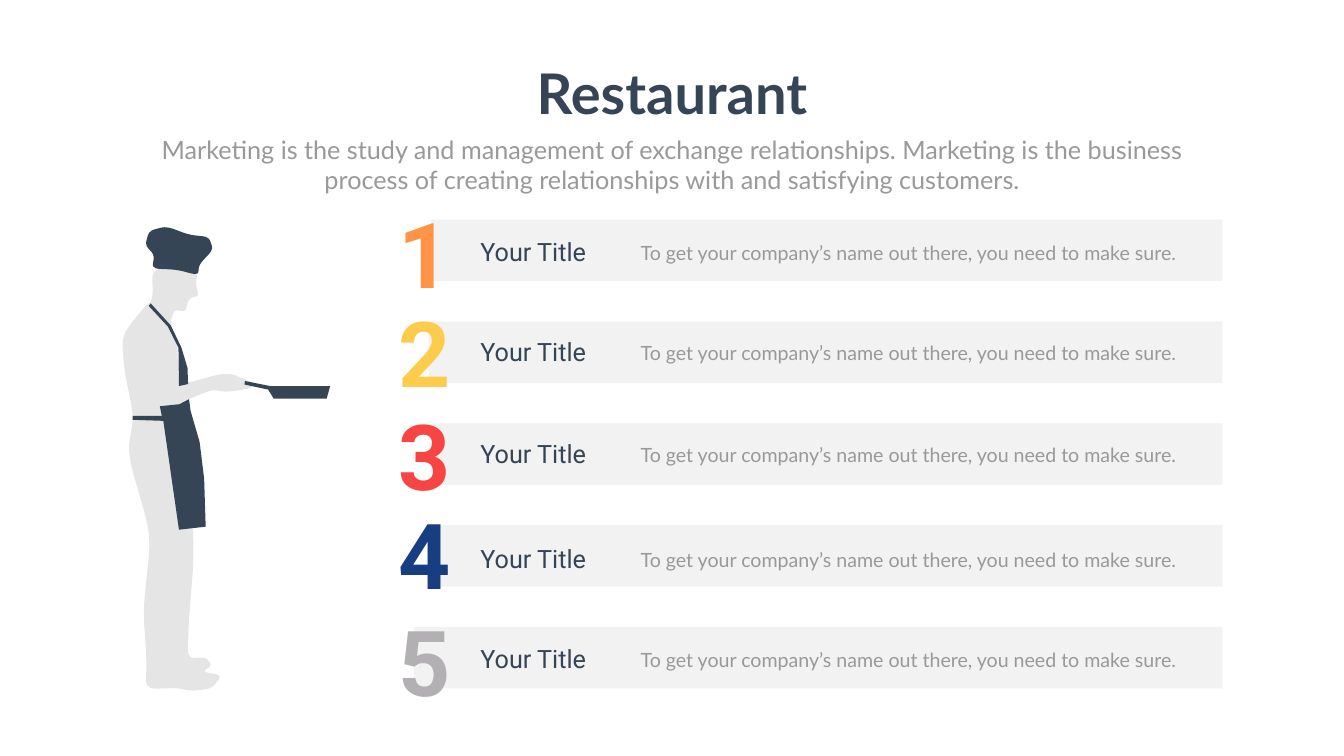
from lxml.etree import SubElement
from pptx import Presentation
from pptx.dml.color import RGBColor
from pptx.enum.shapes import MSO_SHAPE
from pptx.enum.text import MSO_ANCHOR, MSO_AUTO_SIZE, PP_ALIGN
from pptx.oxml.ns import qn
from pptx.util import Inches, Pt

THEME = {
    "navy": "364556", "text": "999999", "shade": "808080",
    "lato": "Lato", "roboto": "Roboto",
    "title": 80, "subtitle": 36, "digit": 130, "label": 36, "detail": 28,
}
BODY_ALPHA, BAR_ALPHA = 20, 10
BAR_TOP, BAR_PITCH, BAR_HEIGHT, BAR_RIGHT = 4.36, 2.02, 1.22, 24.25

TITLE = "Restaurant"
SUBTITLE = ("Marketing is the study and management of exchange relationships. "
            "Marketing is the business process of creating relationships with "
            "and satisfying customers.")
LABEL = "Your Title"
DETAIL = "To get your company’s name out there, you need to make sure."

# Digit colour, digit top, text top, bar left
ROWS = [
    ("FF9447", 3.86, 4.64, 8.54),
    ("FECC4C", 5.83, 6.62, 8.51),
    ("F74544", 7.87, 8.64, 8.59),
    ("183E82", 9.85, 10.73, 8.67),
    ("B2B0B2", 11.96, 12.71, 8.21),
]

BODY = [
    (5.02, 7.59), (4.5, 7.38), (3.55, 7.65), (3.51, 6.74), (3.37, 6.45), (3.45, 6.15),
    (3.68, 6.18), (3.72, 6), (3.8, 5.9), (3.94, 5.87), (3.88, 5.62), (3.92, 5.4),
    (3.02, 5.3), (3.03, 5.97), (2.87, 6.08), (2.42, 6.65), (2.46, 7.3), (2.62, 8.11),
    (2.64, 8.33), (2.53, 9), (2.94, 10.42), (2.97, 10.9), (2.84, 12.1), (2.91, 13.1),
    (2.89, 13.67), (3.51, 13.65), (3.8, 13.71), (4.2, 13.66), (4.4, 13.4), (4.02, 13.33),
    (4.2, 13.2), (4.08, 13.04), (3.72, 13.06), (3.74, 12.4), (3.86, 10.9), (3.7, 8.64),
    (3.6, 7.98), (4.2, 7.73), (4.5, 7.78), (4.99, 7.7),
]
HAT = [
    (3.02, 5.33), (3.06, 5.06), (2.88, 4.86), (2.96, 4.58), (3.3, 4.49), (3.75, 4.66),
    (4.14, 4.7), (4.23, 4.95), (3.95, 5.25), (3.93, 5.46), (3.5, 5.35),
]
PAN = [
    (6.55, 7.66), (5.36, 7.66), (4.86, 7.56), (4.85, 7.63), (5.32, 7.73), (5.43, 7.91),
    (6.48, 7.91),
]
STRAP = [
    (2.99, 6.02), (3.39, 6.46), (3.6, 6.9), (3.72, 7.3), (3.73, 7.62), (3.55, 7.66),
    (3.54, 6.9), (3.33, 6.48), (2.95, 6.07),
]
APRON = [
    (3.75, 7.92), (3.78, 8.15), (3.96, 8.77), (4.05, 9.5), (4.08, 10.45), (3.55, 10.51),
    (3.24, 8.35), (2.63, 8.33), (2.63, 8.25), (3.21, 8.25), (3.17, 8.06), (3.56, 8.02),
]


def round_corners(points, cut=0.18, rounds=2):
    """Replace each corner by two points on its sides, several times over."""
    for _ in range(rounds):
        points = [(x + (next_x - x) * share, y + (next_y - y) * share)
                  for (x, y), (next_x, next_y) in zip(points, points[1:] + points[:1])
                  for share in (cut, 1 - cut)]
    return points


def style(shape, color, alpha=100):
    shape.shadow.inherit = False
    shape.line.fill.background()
    shape.fill.solid()
    shape.fill.fore_color.rgb = RGBColor.from_string(color)
    if alpha < 100:
        srgb = shape.element.spPr.find(".//" + qn("a:srgbClr"))
        SubElement(srgb, qn("a:alpha"), val=str(alpha * 1000))


def add_outline(shapes, outline, color, alpha=100):
    points = [(Inches(x), Inches(y)) for x, y in outline]
    builder = shapes.build_freeform(*points[0])
    builder.add_line_segments(points[1:], close=True)
    style(builder.convert_to_shape(), color, alpha)


def write(shape, text, *, size, font, color, bold=False, align=PP_ALIGN.LEFT,
          wrap=True, spacing=None):
    frame = shape.text_frame
    frame.word_wrap = wrap
    frame.auto_size = MSO_AUTO_SIZE.SHAPE_TO_FIT_TEXT
    frame.vertical_anchor = MSO_ANCHOR.TOP
    paragraph = frame.paragraphs[0]
    paragraph.text = text
    paragraph.alignment = align
    if spacing:
        paragraph.line_spacing = Pt(spacing)
    paragraph.font.size = Pt(size)
    paragraph.font.name = font
    paragraph.font.bold = bold
    paragraph.font.color.rgb = RGBColor.from_string(color)


def add_text(shapes, box, text, **text_format):
    write(shapes.add_textbox(*map(Inches, box)), text, **text_format)


def main():
    presentation = Presentation()
    presentation.slide_width, presentation.slide_height = Inches(26.66), Inches(15)
    slide = presentation.slides.add_slide(presentation.slide_layouts[5])
    shapes = slide.shapes

    title = shapes.title
    title.left, title.top, title.width, title.height = map(Inches, (10.43, 1.12, 5.8, 1.45))
    write(title, TITLE, size=THEME["title"], font=THEME["lato"], color=THEME["navy"],
          bold=True, align=PP_ALIGN.CENTER, wrap=False)
    add_text(shapes, (2.92, 2.61, 20.82, 1.31), SUBTITLE, size=THEME["subtitle"],
             font=THEME["lato"], color=THEME["text"], align=PP_ALIGN.CENTER)

    chef = shapes.add_group_shape().shapes
    add_outline(chef, round_corners(BODY), THEME["shade"], BODY_ALPHA)
    add_outline(chef, round_corners(HAT), THEME["navy"])
    for outline in (PAN, STRAP, APRON):
        add_outline(chef, outline, THEME["navy"])

    for index, (color, digit_top, text_top, bar_left) in enumerate(ROWS):
        box = (bar_left, BAR_TOP + index * BAR_PITCH, BAR_RIGHT - bar_left, BAR_HEIGHT)
        bar = shapes.add_shape(MSO_SHAPE.RECTANGLE, *map(Inches, box))
        style(bar, THEME["shade"], BAR_ALPHA)
        add_text(shapes, (7.7, digit_top, 1.46, 2.29), str(index + 1), size=THEME["digit"],
                 font=THEME["roboto"], color=color, bold=True, align=PP_ALIGN.CENTER)
        add_text(shapes, (12.61, text_top, 11.06, 0.62), DETAIL, size=THEME["detail"],
                 font=THEME["lato"], color=THEME["text"], spacing=40.8)
        add_text(shapes, (9.43, text_top, 3.16, 0.71), LABEL, size=THEME["label"],
                 font=THEME["roboto"], color=THEME["navy"])

    presentation.save("out.pptx")


if __name__ == "__main__":
    main()
